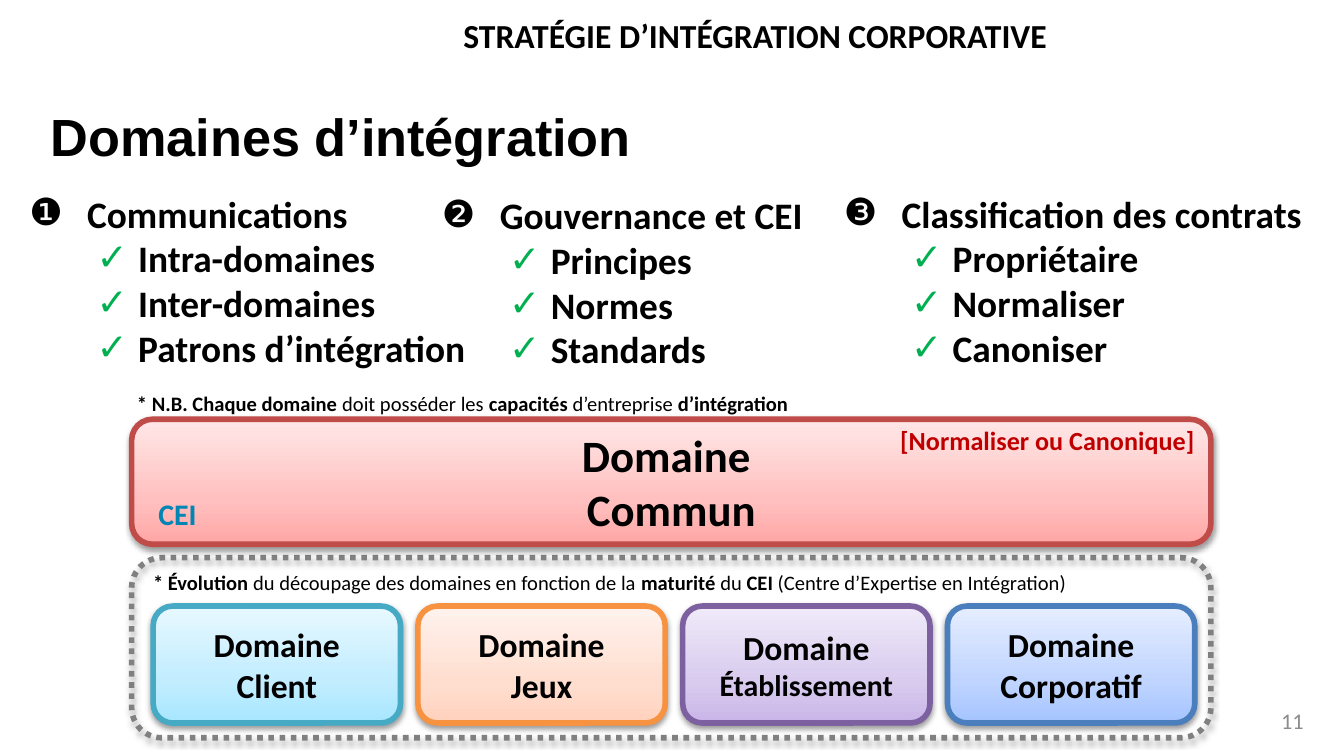
from lxml import etree
from pptx import Presentation
from pptx.dml.color import RGBColor
from pptx.enum.dml import MSO_LINE
from pptx.enum.shapes import MSO_SHAPE
from pptx.enum.text import MSO_ANCHOR, MSO_AUTO_SIZE, PP_ALIGN
from pptx.oxml.ns import qn
from pptx.util import Inches, Pt

ROUNDED = MSO_SHAPE.ROUNDED_RECTANGLE
DOTTED = MSO_LINE.ROUND_DOT
TOP, MIDDLE = MSO_ANCHOR.TOP, MSO_ANCHOR.MIDDLE
LEFT, CENTER, RIGHT = PP_ALIGN.LEFT, PP_ALIGN.CENTER, PP_ALIGN.RIGHT
GROW, FIXED = MSO_AUTO_SIZE.SHAPE_TO_FIT_TEXT, MSO_AUTO_SIZE.NONE

COLORS = {
    "text": "000000",
    "page_number": "8C8C8C",
    "check": "00B050",
    "frame": "808080",
    "contract": "C00000",
    "center": "0085B4",
}
PALETTES = {
    "common": ("BF4C48", ("FFA6A5", "FFC0BF", "FFE7E7")),
    "client": ("46AAC5", ("A7E6FF", "C1EDFF", "E7F8FF")),
    "games": ("F69240", ("FFD2BD", "FFDED0", "FFF2ED")),
    "venue": ("7D60A0", ("C9B5E8", "D8CBEE", "F0EAF9")),
    "corporate": ("4B7EBC", ("A4C4FF", "BFD4FF", "E6EEFF")),
}
GRADIENT_POSITIONS = (0, 35, 100)

TOPICS = [
    (0.12, 1.37, 3.54, "❶", "Communications",
     ["Intra-domaines", "Inter-domaines", "Patrons d’intégration"]),
    (3.19, 1.38, 3.39, "❷", "Gouvernance et CEI",
     ["Principes", "Normes", "Standards"]),
    (6.18, 1.37, 3.62, "❸", "Classification des contrats",
     ["Propriétaire", "Normaliser", "Canoniser"]),
]
DOMAINS = [
    ("Client", "client", 18),
    ("Jeux", "games", 18),
    ("Établissement", "venue", 16),
    ("Corporatif", "corporate", 18),
]
EVOLUTION_NOTE = [
    ("* Évolution", True),
    (" du découpage des domaines en fonction de la ", False),
    ("maturité", True),
    (" du ", False),
    ("CEI", True),
    (" (Centre d’Expertise en Intégration)", False),
]
CAPABILITY_NOTE = [
    ("* N.B. Chaque domaine", True),
    (" doit posséder les ", False),
    ("capacités ", True),
    ("d’entreprise ", False),
    ("d’intégration", True),
]


def add_child(parent, tag, **attributes):
    """Append a DrawingML element with the given attributes."""
    child = etree.SubElement(parent, qn(tag))
    for name, value in attributes.items():
        child.set(name, str(value))
    return child


def write_paragraph(paragraph, text, size=18, color="text", bold=True,
                    font="Calibri", align=LEFT):
    """Write a string, or a list of (text, bold) runs, in one format."""
    paragraph.alignment = align
    runs = [(text, bold)] if isinstance(text, str) else text
    for words, is_bold in runs:
        run = paragraph.add_run()
        run.text = words
        run.font.name = font
        run.font.size = Pt(size)
        run.font.bold = is_bold
        run.font.color.rgb = RGBColor.from_string(COLORS[color])


def add_text_box(shapes, box, anchor=TOP, wrap=True, fit=GROW):
    """Add an empty text box and return its text frame."""
    frame = shapes.add_textbox(*map(Inches, box)).text_frame
    frame.word_wrap = wrap
    frame.auto_size = fit
    frame.vertical_anchor = anchor
    return frame


def add_label(shapes, box, text, anchor=TOP, wrap=True, fit=GROW, **style):
    """Add a text box that holds one paragraph."""
    frame = add_text_box(shapes, box, anchor, wrap, fit)
    write_paragraph(frame.paragraphs[0], text, **style)


def set_bullet(paragraph, character, margin, hanging, level=0, color="text"):
    """Give a paragraph a bullet character and a hanging indent."""
    paragraph.level = level
    properties = paragraph._p.get_or_add_pPr()
    properties.set("marL", str(Inches(margin)))
    properties.set("indent", str(-Inches(hanging)))
    add_child(add_child(properties, "a:buClr"), "a:srgbClr", val=COLORS[color])
    add_child(properties, "a:buFont", typeface="Arial")
    add_child(properties, "a:buChar", char=character)


def add_topic(shapes, left, top, width, number, heading, items):
    """Add a numbered heading with its checked items."""
    frame = add_text_box(shapes, (left, top, width, 1.45))
    paragraph = frame.paragraphs[0]
    set_bullet(paragraph, number, 0.43, 0.43)
    write_paragraph(paragraph, heading, size=20)
    for item in items:
        paragraph = frame.add_paragraph()
        set_bullet(paragraph, "✓", 0.81, 0.31, level=1, color="check")
        write_paragraph(paragraph, item, size=20)


def add_shadow(shape):
    """Give a shape a soft shadow below it."""
    shape.shadow.inherit = False
    effects = shape._element.spPr.find(qn("a:effectLst"))
    shadow = add_child(effects, "a:outerShdw", blurRad=Pt(3.1), dist=Pt(1.6),
                       dir=90 * 60000, rotWithShape=0)
    color = add_child(shadow, "a:srgbClr", val="000000")
    add_child(color, "a:alpha", val=38000)


def fill_gradient(shape, stops):
    """Fill a shape with a gradient that runs from bottom to top."""
    shape.fill.gradient()
    shape.fill.gradient_angle = 90
    stop_list = shape._element.spPr.find(".//" + qn("a:gsLst"))
    stop_list.clear()
    for position, color in zip(GRADIENT_POSITIONS, stops):
        stop = add_child(stop_list, "a:gs", pos=position * 1000)
        add_child(stop, "a:srgbClr", val=color)


def add_rounded_box(shapes, box, line_color):
    """Add a rounded box with a thick outline and a shadow."""
    shape = shapes.add_shape(ROUNDED, *map(Inches, box))
    shape.fill.background()
    shape.line.color.rgb = RGBColor.from_string(line_color)
    shape.line.width = Pt(3)
    add_shadow(shape)
    return shape


def add_domain(shapes, box, palette, lines):
    """Add a gradient box with centred (text, size) lines."""
    line_color, stops = PALETTES[palette]
    shape = add_rounded_box(shapes, box, line_color)
    fill_gradient(shape, stops)
    frame = shape.text_frame
    frame.word_wrap = True
    frame.vertical_anchor = MIDDLE
    for index, (text, size) in enumerate(lines):
        paragraph = frame.add_paragraph() if index else frame.paragraphs[0]
        write_paragraph(paragraph, text, size=size, align=CENTER)


def add_specific_domains(slide):
    """Add the dotted frame with its row of domains."""
    shapes = slide.shapes.add_group_shape().shapes
    frame = add_rounded_box(shapes, (0.98, 4.15, 8.03, 1.34), COLORS["frame"])
    frame.line.dash_style = DOTTED
    for index, (name, palette, size) in enumerate(DOMAINS):
        box = (1.14 + index * 1.97, 4.51, 1.84, 0.87)
        add_domain(shapes, box, palette, [("Domaine", 18), (name, size)])
    add_label(shapes, (1.04, 4.19, 7.95, 0.29), EVOLUTION_NOTE, size=11)


def add_common_domain(slide):
    """Add the common domain with its labels."""
    shapes = slide.shapes.add_group_shape().shapes
    add_domain(shapes, (0.98, 3.12, 8.03, 0.93), "common",
               [("Domaine ", 24), ("Commun", 24)])
    add_label(shapes, (6.6, 3.11, 2.4, 0.34), "[Normaliser ou Canonique]",
              size=14, color="contract")
    add_label(shapes, (0.92, 2.86, 7.99, 0.29), CAPABILITY_NOTE, size=11)
    add_label(shapes, (1.08, 3.64, 0.54, 0.37), "CEI", size=16, color="center")


def main():
    """Build the slide and save it."""
    presentation = Presentation()
    presentation.slide_width = Inches(10)
    presentation.slide_height = Inches(10 * 9 / 16)
    slide = presentation.slides.add_slide(presentation.slide_layouts[6])
    shapes = slide.shapes
    add_label(shapes, (7.47, 5.21, 2.33, 0.3), "11", anchor=MIDDLE, fit=FIXED,
              size=12, color="page_number", bold=False, align=RIGHT)
    add_label(shapes, (3.35, 0.06, 4.58, 0.4),
              "STRATÉGIE D’INTÉGRATION CORPORATIVE", wrap=False)
    add_label(shapes, (0.28, 0.54, 8.28, 0.94), "Domaines d’intégration",
              anchor=MIDDLE, fit=FIXED, size=28, font="Arial")
    for topic in TOPICS:
        add_topic(shapes, *topic)
    add_specific_domains(slide)
    add_common_domain(slide)
    presentation.save("out.pptx")


if __name__ == "__main__":
    main()
